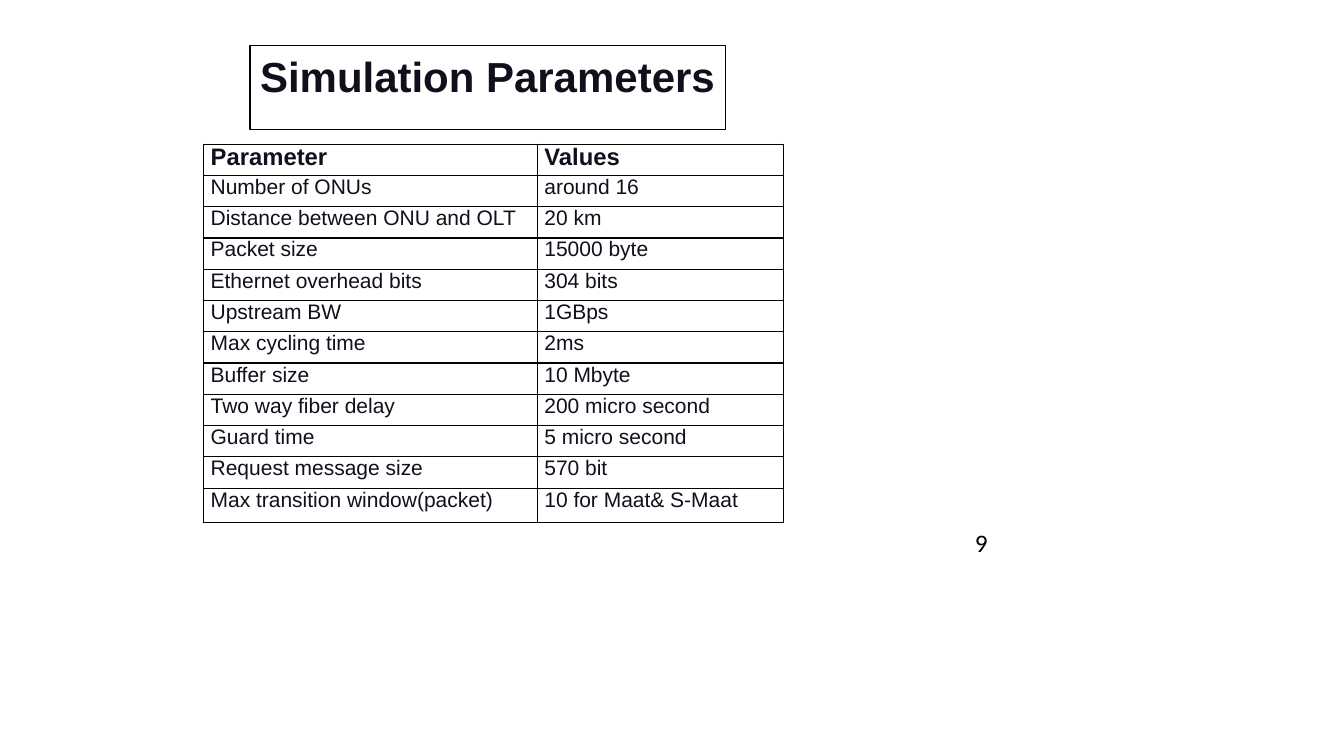
from lxml.etree import SubElement
from pptx import Presentation
from pptx.dml.color import RGBColor
from pptx.enum.text import MSO_ANCHOR, MSO_AUTO_SIZE, PP_ALIGN
from pptx.oxml.ns import qn
from pptx.util import Inches, Pt

COLORS = {"text": "10101C", "border": "080000", "black": "000000", "white": "FFFFFF"}

PARAMETERS = [
    ("Parameter", "Values"),
    ("Number of ONUs", "around 16"),
    ("Distance between ONU and OLT", "20 km"),
    ("Packet size", "15000 byte"),
    ("Ethernet overhead bits", "304 bits"),
    ("Upstream BW", "1GBps"),
    ("Max cycling time", "2ms"),
    ("Buffer size", "10 Mbyte"),
    ("Two way fiber delay", "200 micro second"),
    ("Guard time", "5 micro second"),
    ("Request message size", "570 bit"),
    ("Max transition window(packet)", "10 for Maat& S-Maat"),
]


def rgb(name):
    return RGBColor.from_string(COLORS[name])


class SlideBuilder:
    """Places styled elements; lengths are percentages of the slide's size."""

    def __init__(self, prs):
        self.prs = prs
        self.s = prs.slides.add_slide(prs.slide_layouts[5])

    def x(self, share):
        return round(self.prs.slide_width * share / 100)

    def y(self, share):
        return round(self.prs.slide_height * share / 100)

    def box(self, left, top, width, height):
        return self.x(left), self.y(top), self.x(width), self.y(height)

    def set_text(self, tf, text, size, font="Arial", color="text", bold=False):
        p = tf.paragraphs[0]
        p.text = text
        p.alignment = PP_ALIGN.LEFT
        p.font.name, p.font.size, p.font.bold = font, Pt(size), bold
        p.font.color.rgb = rgb(color)

    def fit(self, tf):
        tf.word_wrap = False
        tf.auto_size = MSO_AUTO_SIZE.SHAPE_TO_FIT_TEXT
        tf.vertical_anchor = MSO_ANCHOR.TOP

    def title(self, text, *box):
        sp = self.s.shapes.title
        sp.left, sp.top, sp.width, sp.height = self.box(*box)
        sp.fill.solid()
        sp.fill.fore_color.rgb = rgb("white")
        sp.line.color.rgb = rgb("black")
        sp.line.width = Pt(1)
        self.fit(sp.text_frame)
        self.set_text(sp.text_frame, text, 30, bold=True)

    def text(self, text, *box):
        sp = self.s.shapes.add_textbox(*self.box(*box))
        self.fit(sp.text_frame)
        self.set_text(sp.text_frame, text, 18, "Calibri", "black")

    def borders(self, cell):
        tcPr = cell._tc.get_or_add_tcPr()
        for i, side in enumerate(("lnL", "lnR", "lnT", "lnB")):
            ln = tcPr.makeelement(qn(f"a:{side}"), {"w": str(Pt(1))})
            fill = SubElement(ln, qn("a:solidFill"))
            SubElement(fill, qn("a:srgbClr"), val=COLORS["border"])
            tcPr.insert(i, ln)

    def table(self, rows, left, top, widths, heights):
        box = self.box(left, top, sum(widths), sum(heights))
        table = self.s.shapes.add_table(len(rows), len(widths), *box).table
        table.first_row = table.horz_banding = False
        for column, width in zip(table.columns, widths):
            column.width = self.x(width)
        for r, (row, height) in enumerate(zip(rows, heights)):
            table.rows[r].height = self.y(height)
            for c, text in enumerate(row):
                cell = table.cell(r, c)
                cell.margin_left = cell.margin_right = Inches(0.07)
                cell.margin_top = cell.margin_bottom = 0
                cell.fill.background()
                self.borders(cell)
                header = r == 0
                self.set_text(cell.text_frame, text, 17 if header else 15, bold=header)


def main():
    prs = Presentation()
    prs.slide_width, prs.slide_height = Inches(13.33), Inches(7.5)
    slide = SlideBuilder(prs)

    # Framed title
    slide.title("Simulation Parameters", 18.6, 6, 35.4, 8)

    # Parameter table: even rows, the last one slightly taller
    heights = [4.14] * (len(PARAMETERS) - 1) + [4.5]
    slide.table(PARAMETERS, 15.15, 19.07, [24.83, 18.3], heights)

    # Page number
    slide.text("9", 71.8, 69.07, 2.33, 4.53)

    prs.save("out.pptx")


if __name__ == "__main__":
    main()
